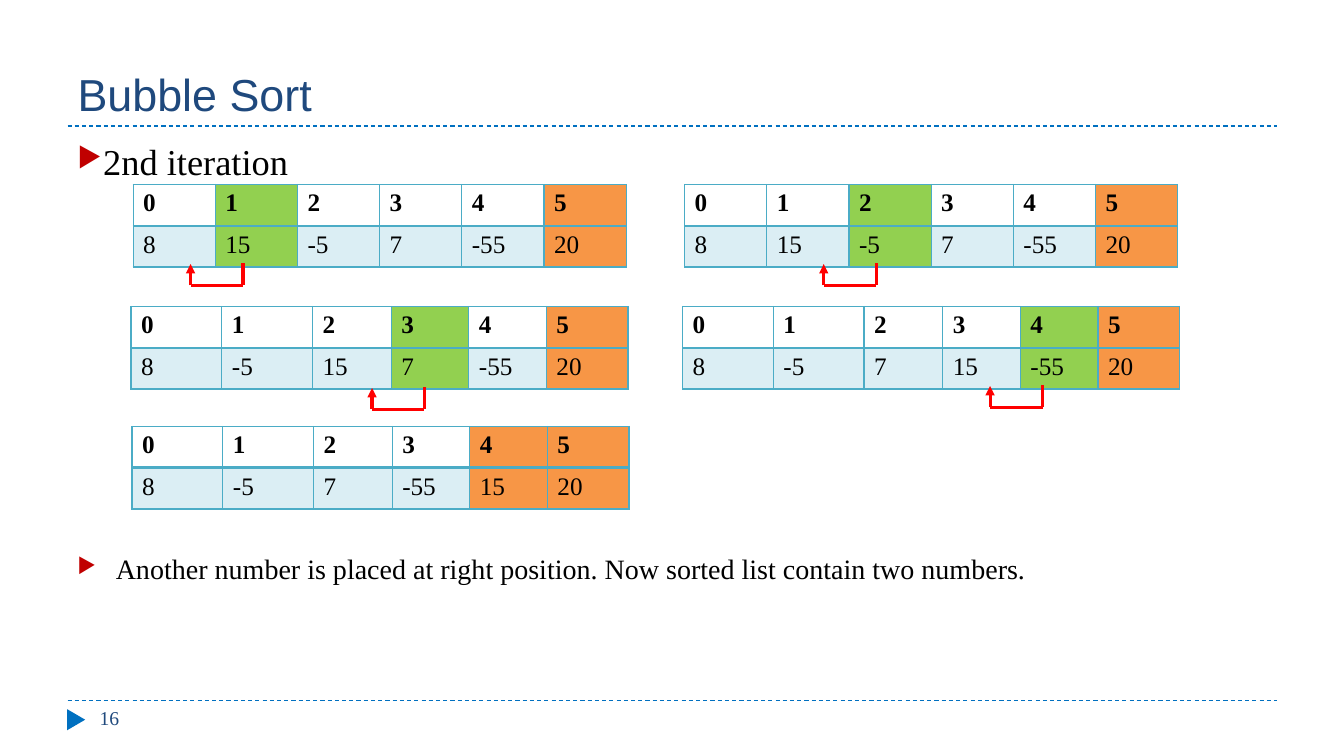
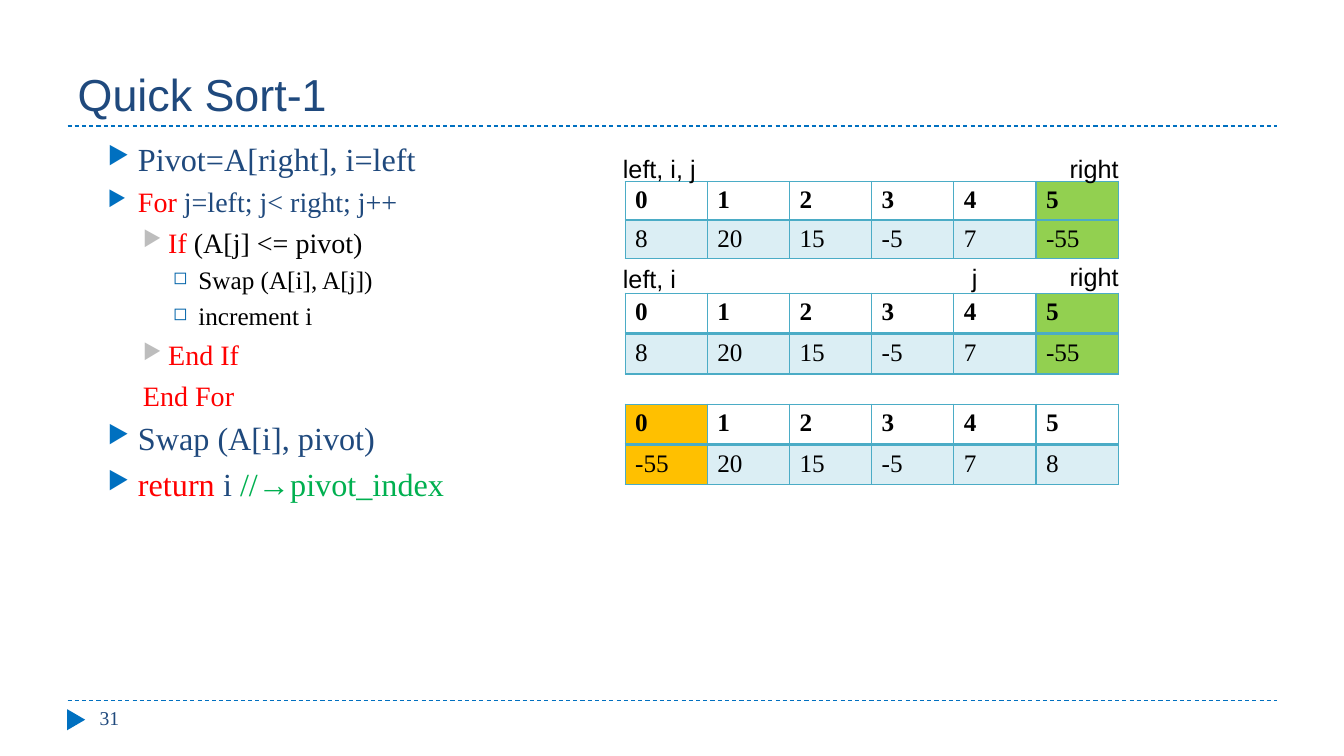
from lxml.etree import SubElement
from pptx import Presentation
from pptx.dml.color import RGBColor
from pptx.enum.dml import MSO_LINE
from pptx.enum.shapes import MSO_CONNECTOR, MSO_SHAPE
from pptx.enum.text import MSO_ANCHOR, PP_ALIGN
from pptx.oxml.ns import qn
from pptx.util import Inches, Pt

COLOURS = {
    "accent": "0070C0", "title": "1F497D", "black": "000000", "red": "FF0000",
    "dark red": "C00000", "grey": "BDBDBD", "square": "0063A9", "comment": "00B050",
    "grid": "4BACC6", "values": "DBEEF4", "current": "92D050", "sorted": "F79646",
    "placed": "FFC000",
}
SERIF, SANS = "Times New Roman", "Arial"

# Paragraph kinds: text start, hanging width, space before, bullet, its colour and size
LEVELS = {
    "heading": (0.17, 0.17, 6, "▶", "dark red", 76),
    "remark": (0.38, 0.38, 6, "▶", "dark red", 76),
    "step": (0.6, 0.3, 5, "▶", "accent", 76),
    "branch": (0.9, 0.25, 5, "▶", "grey", 76),
    "action": (1.2, 0.25, 4, "◻", "square", 70),
    "closing": (0.65, 0, 5, None, None, None),
}


def rgb(name):
    return RGBColor.from_string(COLOURS[name])


class Slides:
    """Holds the deck style and the page being filled."""

    def __init__(self):
        self.deck = Presentation()
        self.deck.slide_width, self.deck.slide_height = Inches(13.33), Inches(7.5)
        self.page = None

    def start(self, title, number):
        """Add a page with its title, rules and footer."""
        self.page = self.deck.slides.add_slide(self.deck.slide_layouts[5])
        for y in (6.95, 1.25):
            self.line(0.67, y, 12.67, y, "accent", 0.75).line.dash_style = MSO_LINE.DASH
        marker = self.page.shapes.add_shape(
            MSO_SHAPE.ISOSCELES_TRIANGLE, Inches(0.65), Inches(7.05), Inches(0.21), Inches(0.18))
        marker.rotation = 90
        marker.shadow.inherit = False
        marker.fill.solid()
        marker.fill.fore_color.rgb = rgb("accent")
        marker.line.fill.background()

        box = self.page.shapes.title
        place = {"left": 0.67, "top": 0.17, "width": 12, "height": 1.08}
        for name, value in place.items():
            setattr(box, name, Inches(value))
        box.text_frame.vertical_anchor = MSO_ANCHOR.BOTTOM
        para = box.text_frame.paragraphs[0]
        para.alignment = PP_ALIGN.LEFT
        self.span(para, title, 32, "title", SANS)
        self.label(str(number), 0.89, 6.95, 2.89, 14, "title", SERIF)

    def span(self, para, text, size, colour, font=SERIF, bold=False):
        span = para.add_run()
        span.text = text
        for name, value in {"size": Pt(size), "name": font, "bold": bold}.items():
            setattr(span.font, name, value)
        span.font.color.rgb = rgb(colour)

    def label(self, text, left, top, width, size=18, colour="black", font=SANS):
        box = self.page.shapes.add_textbox(
            Inches(left), Inches(top), Inches(width), Inches(0.4))
        box.text_frame.word_wrap = False
        self.span(box.text_frame.paragraphs[0], text, size, colour, font)

    def outline(self, top, height, items):
        """Bulleted text; each item is a level, a size and (text, colour) spans."""
        box = self.page.shapes.add_textbox(
            Inches(0.67), Inches(top), Inches(12), Inches(height))
        frame = box.text_frame
        frame.word_wrap = True
        for index, (level, size, *spans) in enumerate(items):
            para = frame.add_paragraph() if index else frame.paragraphs[0]
            start, hanging, before, bullet, colour, percent = LEVELS[level]
            para.space_before = Pt(before)
            props = para._p.get_or_add_pPr()
            props.set("marL", str(Inches(start)))
            props.set("indent", str(-Inches(hanging)))
            if bullet:
                tint = SubElement(props, qn("a:buClr"))
                SubElement(tint, qn("a:srgbClr"), val=COLOURS[colour])
                SubElement(props, qn("a:buSzPct"), val=str(percent * 1000))
                SubElement(props, qn("a:buChar"), char=bullet)
            for text, ink in spans:
                self.span(para, text, size, ink)

    def line(self, x1, y1, x2, y2, colour, width, arrow=False):
        line = self.page.shapes.add_connector(
            MSO_CONNECTOR.STRAIGHT, Inches(x1), Inches(y1), Inches(x2), Inches(y2))
        line.line.color.rgb = rgb(colour)
        line.line.width = Pt(width)
        if arrow:
            SubElement(line.line._get_or_add_ln(), qn("a:tailEnd"), type="triangle")
        SubElement(line._element.spPr, qn("a:effectLst"))
        return line

    def swap(self, left, top):
        """Bracket whose arrow points from one cell to the cell before it."""
        right, base = left + 0.52, top + 0.22
        self.line(left, base, right, base, "red", 2.25)
        self.line(right, base, right, top, "red", 2.25)
        self.line(left, base, left, top + 0.01, "red", 2.25, arrow=True)

    def array(self, left, top, values, marks, widths, row_height):
        """Index row above value row; marks maps a column to its colour."""
        table = self.page.shapes.add_table(
            2, len(values), Inches(left), Inches(top),
            Inches(sum(widths)), Inches(2 * row_height)).table
        table.first_row = table.horz_banding = False
        for row in table.rows:
            row.height = Inches(row_height)
        for column, value in enumerate(values):
            table.columns[column].width = Inches(widths[column])
            for row, number in enumerate((column, value)):
                cell = table.cell(row, column)
                cell.margin_bottom = Inches(0.03)
                self.span(cell.text_frame.paragraphs[0], str(number), 18, "black", bold=row == 0)
                self.borders(cell, {"lnB": 2} if row == 0 else {"lnT": 2})
                colour = marks.get(column, "values" if row else None)
                if colour:
                    cell.fill.solid()
                    cell.fill.fore_color.rgb = rgb(colour)
                else:
                    cell.fill.background()

    def borders(self, cell, heavy):
        props = cell._tc.get_or_add_tcPr()
        for side in ("lnL", "lnR", "lnT", "lnB"):
            edge = SubElement(props, qn("a:" + side), w=str(Pt(heavy.get(side, 1))))
            fill = SubElement(edge, qn("a:solidFill"))
            SubElement(fill, qn("a:srgbClr"), val=COLOURS["grid"])


def bubble_sort(slides):
    slides.start("Bubble Sort", 16)
    slides.outline(1.33, 0.6, [("heading", 26, ("2nd iteration", "black"))])
    slides.outline(5.42, 0.5, [("remark", 20, (
        "Another number is placed at right position. Now sorted list contain two numbers.",
        "black"))])

    # Array after each comparison
    even, uneven = [0.815] * 6, [0.9, 0.9, 0.78, 0.77, 0.77, 0.81]
    arrays = [
        (1.32, 1.83, (8, 15, -5, 7, -55, 20), 1, even),
        (6.79, 1.83, (8, 15, -5, 7, -55, 20), 2, even),
        (1.3, 3.04, (8, -5, 15, 7, -55, 20), 3, uneven),
        (6.77, 3.04, (8, -5, 7, 15, -55, 20), 4, uneven),
    ]
    for left, top, values, current, widths in arrays:
        marks = {current: "current", 5: "sorted"}
        slides.array(left, top, values, marks, widths, 0.41)
    slides.array(1.31, 4.23, (8, -5, 7, -55, 15, 20),
                 {4: "sorted", 5: "sorted"}, uneven, 0.41)

    for left, top in ((1.89, 2.61), (8.17, 2.61), (9.82, 3.82), (3.69, 3.84)):
        slides.swap(left, top)


def quick_sort(slides):
    slides.start("Quick Sort-1", 31)
    slides.outline(1.33, 5.4, [
        ("step", 23, ("Pivot=A[right], i=left", "title")),
        ("step", 20, ("For", "red"), (" j=left; j< right; j++", "title")),
        ("branch", 20, ("If ", "red"), ("(A[j] <= pivot)", "black")),
        ("action", 18, ("Swap (A[i], A[j])", "black")),
        ("action", 18, ("increment i", "black")),
        ("branch", 20, ("End If", "red")),
        ("closing", 20, ("End For", "red")),
        ("step", 23, ("Swap (A[i], pivot)", "title")),
        ("step", 23, ("return ", "red"), ("i ", "title"), ("//→pivot_index", "comment")),
    ])

    # Partition states
    before, after = (8, 20, 15, -5, 7, -55), (-55, 20, 15, -5, 7, 8)
    for top, values, marks, row_height in (
            (1.8, before, {5: "current"}, 0.38),
            (2.91, before, {5: "current"}, 0.4),
            (4.01, after, {0: "placed"}, 0.4)):
        slides.array(6.2, top, values, marks, [0.815] * 6, row_height)

    # Index names above the arrays
    for text, left, top, width in (
            ("left, i, j", 6.08, 1.47, 0.93), ("right", 10.51, 1.47, 0.69),
            ("left, i", 6.08, 2.56, 0.73), ("j", 9.54, 2.55, 0.26),
            ("right", 10.51, 2.54, 0.69)):
        slides.label(text, left, top, width)


def main():
    slides = Slides()
    bubble_sort(slides)
    quick_sort(slides)
    slides.deck.save("out.pptx")


if __name__ == "__main__":
    main()
